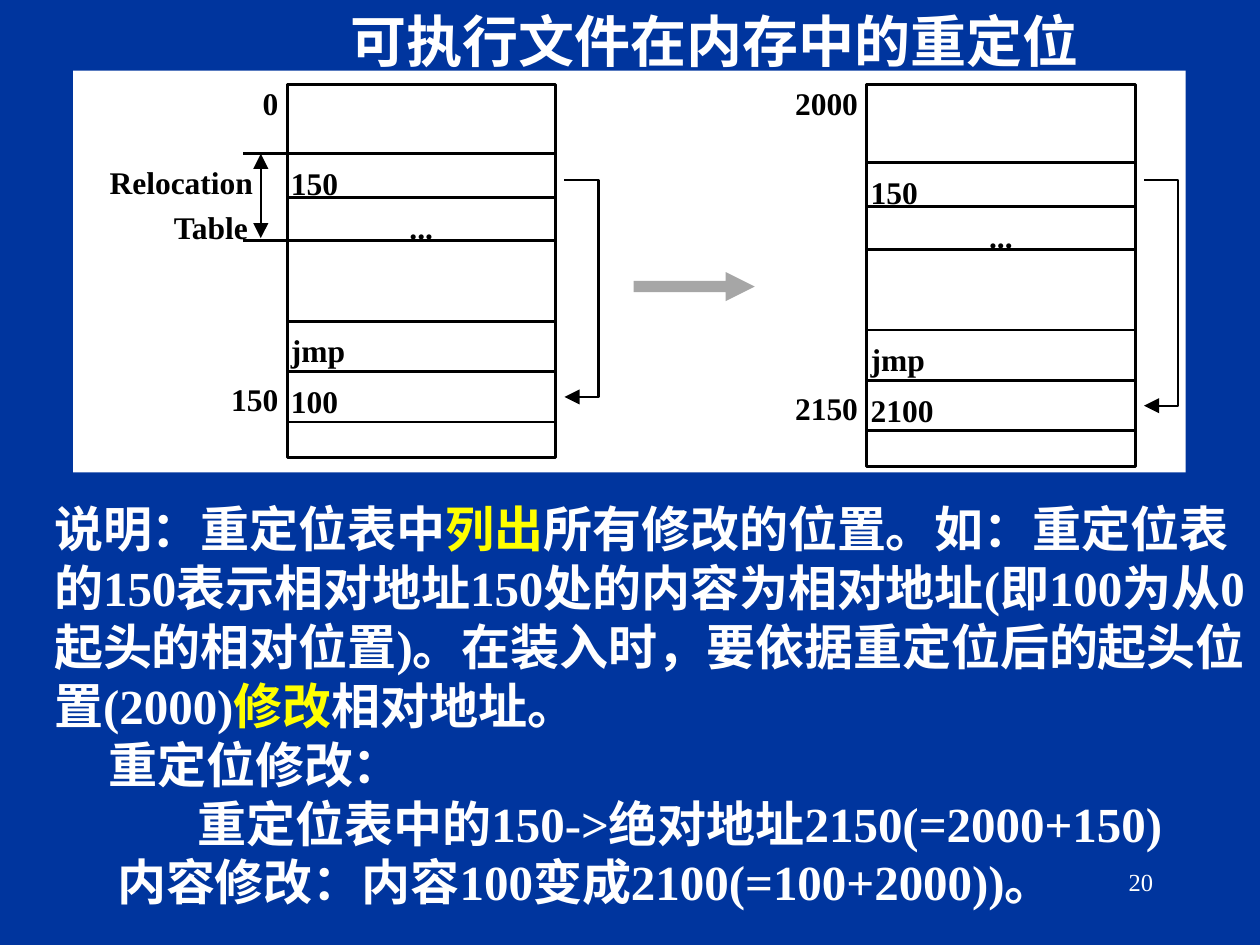
from lxml import etree
from pptx import Presentation, util as u
from pptx.dml.color import RGBColor
from pptx.enum import shapes, text
from pptx.oxml.ns import qn

BLUE = RGBColor(0x00, 0x35, 0x9E)
WHITE = RGBColor(0xFF, 0xFF, 0xFF)
BLACK = RGBColor(0x00, 0x00, 0x00)
GRAY = RGBColor(0xA6, 0xA6, 0xA6)
YELLOW = RGBColor(0xFF, 0xFF, 0x00)
FONT = "Times New Roman"
CELL_WIDTH = 2.13
LABEL_HEIGHT = 0.3


def style_run(run, size, color, bold=True):
    run.font.name = FONT
    run.font.size = u.Pt(size)
    run.font.bold = bold
    run.font.color.rgb = color


def paint(shape, fill=None, line=None, weight=1.62):
    shape.shadow.inherit = False
    if fill is None:
        shape.fill.background()
    else:
        shape.fill.solid()
        shape.fill.fore_color.rgb = fill
    if line is None:
        shape.line.fill.background()
    else:
        shape.line.color.rgb = line
        shape.line.width = u.Pt(weight)


def add_box(slide, left, top, width, height, kind=shapes.MSO_SHAPE.RECTANGLE, **style):
    box = slide.shapes.add_shape(
        kind, u.Inches(left), u.Inches(top), u.Inches(width), u.Inches(height))
    paint(box, **style)
    return box


def add_path(slide, points, closed, **style):
    start, *rest = [(u.Inches(x), u.Inches(y)) for x, y in points]
    builder = slide.shapes.build_freeform(*start)
    builder.add_line_segments(rest, close=closed)
    paint(builder.convert_to_shape(), **style)


def add_arrowhead(slide, x, y, dx, dy):
    back_x, back_y = x - 0.12 * dx, y - 0.12 * dy
    half_x, half_y = 0.06 * dy, 0.06 * dx
    add_path(slide, [(x, y), (back_x + half_x, back_y + half_y),
                     (back_x - half_x, back_y - half_y)], True, fill=BLACK)


def add_line(slide, x1, y1, x2, y2, weight):
    line = slide.shapes.add_connector(
        shapes.MSO_CONNECTOR.STRAIGHT, *(u.Inches(v) for v in (x1, y1, x2, y2)))
    line.line.color.rgb = BLACK
    line.line.width = u.Pt(weight)
    etree.SubElement(line._element.spPr, qn("a:effectLst"))


def add_label(slide, wording, left, top, width, align=text.PP_ALIGN.LEFT):
    frame = slide.shapes.add_textbox(
        u.Inches(left), u.Inches(top), u.Inches(width), u.Inches(LABEL_HEIGHT)).text_frame
    frame.margin_left = frame.margin_right = frame.margin_top = frame.margin_bottom = 0
    frame.word_wrap = False
    frame.text = wording
    frame.paragraphs[0].alignment = align
    style_run(frame.paragraphs[0].runs[0], 18, BLACK)


def add_memory(slide, left, top, header, start, target, operand):
    table = top + header
    jump, content = table + 1.33, table + 1.73
    add_box(slide, left, top, CELL_WIDTH, header + 2.41, line=BLACK)
    cells = [("150", table, 0.35, 0.03), ("...", table + 0.35, 0.34, 0.97),
             ("jmp", jump, 0.4, 0.03), (operand, content, 0.4, 0.03)]
    for wording, cell_top, height, indent in cells:
        add_box(slide, left, cell_top, CELL_WIDTH, height, line=BLACK)
        add_label(slide, wording, left + indent, cell_top + 0.08, 0.5)
    for address, address_top in [(start, top), (target, content + 0.07)]:
        add_label(slide, address, left - 0.57, address_top, 0.5, text.PP_ALIGN.RIGHT)

    near, far = left + 2.2, left + 2.47
    source, end = top + 0.76, content + 0.2
    add_path(slide, [(near, source), (far, source), (far, end), (near + 0.11, end)],
             False, line=BLACK, weight=1.25)
    add_arrowhead(slide, near, end, -1, 0)


def add_table_range(slide, left, top, height, edge):
    bottom = top + height
    for y in (top, bottom):
        add_line(slide, left, y, edge, y, 1.62)
    middle = left + 0.14
    add_line(slide, middle, top + 0.11, middle, bottom - 0.13, 1.25)
    add_arrowhead(slide, middle, top, 0, -1)
    add_arrowhead(slide, middle, bottom - 0.02, 0, 1)
    add_label(slide, "Relocation", left - 1.06, top + 0.07, 1.14)
    add_label(slide, "Table", left - 0.55, top + 0.43, 0.61)


def add_diagram(slide, left, top, width, height):
    add_box(slide, left, top, width, height, fill=WHITE)
    file_left, memory_top = left + 1.7, top + 0.11
    add_memory(slide, file_left, memory_top, 0.55, "0", "150", "100")
    add_table_range(slide, left + 1.35, memory_top + 0.55, 0.69, file_left)
    arrow = add_box(slide, left + 4.45, top + 1.6, 0.96, 0.23,
                    shapes.MSO_SHAPE.RIGHT_ARROW, fill=GRAY)
    arrow.adjustments[0] = 0.39
    arrow.adjustments[1] = 1
    add_memory(slide, left + 6.3, memory_top, 0.62, "2000", "2150", "2100")


def place(shape, left, top, width, height):
    shape.left, shape.top = u.Inches(left), u.Inches(top)
    shape.width, shape.height = u.Inches(width), u.Inches(height)
    frame = shape.text_frame
    frame.auto_size = text.MSO_AUTO_SIZE.NONE
    frame.vertical_anchor = text.MSO_ANCHOR.TOP
    frame.word_wrap = True
    return frame


def add_title(slide, left, top, width, height):
    heading = place(slide.shapes.title, left, top, width, height)
    heading.text = "可执行文件在内存中的重定位"
    heading.paragraphs[0].alignment = text.PP_ALIGN.LEFT
    style_run(heading.paragraphs[0].runs[0], 32, WHITE)


def add_explanation(slide, left, top, width, height):
    body = place(slide.placeholders[1], left, top, width, height)
    explanation = [
        (0, [("说明：重定位表中", WHITE), ("列出", YELLOW),
             ("所有修改的位置。如：重定位表的150表示相对地址150处的内容为相对地址"
              "(即100为从0起头的相对位置)。在装入时，要依据重定位后的起头位置(2000)", WHITE),
             ("修改", YELLOW), ("相对地址。", WHITE)]),
        (0.43, [("重定位修改：", WHITE)]),
        (1.14, [("重定位表中的150->绝对地址2150(=2000+150)", WHITE)]),
        (0.5, [("内容修改：内容100变成2100(=100+2000))。", WHITE)]),
    ]
    for number, (indent, pieces) in enumerate(explanation):
        paragraph = body.add_paragraph() if number else body.paragraphs[0]
        properties = paragraph._p.get_or_add_pPr()
        properties.set("marL", str(u.Inches(indent)))
        properties.set("indent", "0")
        etree.SubElement(properties, qn("a:buNone"))
        paragraph.space_before = u.Pt(0)
        for wording, color in pieces:
            run = paragraph.add_run()
            run.text = wording
            style_run(run, 28, color)


def add_page_number(slide, left, top, width, height):
    page = place(slide.shapes.add_textbox(0, 0, 0, 0), left, top, width, height)
    page.text = "20"
    page.paragraphs[0].alignment = text.PP_ALIGN.RIGHT
    style_run(page.paragraphs[0].runs[0], 14, WHITE, bold=False)


def main():
    deck = Presentation()
    deck.slide_width, deck.slide_height = u.Inches(10), u.Inches(7.5)
    slide = deck.slides.add_slide(deck.slide_layouts[1])
    slide.background.fill.solid()
    slide.background.fill.fore_color.rgb = BLUE
    add_diagram(slide, 0.58, 0.56, 8.83, 3.19)
    add_title(slide, 2.68, 0, 6.3, 0.64)
    add_explanation(slide, 0.33, 3.91, 9.67, 3.59)
    add_page_number(slide, 7.17, 6.83, 2.08, 0.5)
    deck.save("out.pptx")


if __name__ == "__main__":
    main()
